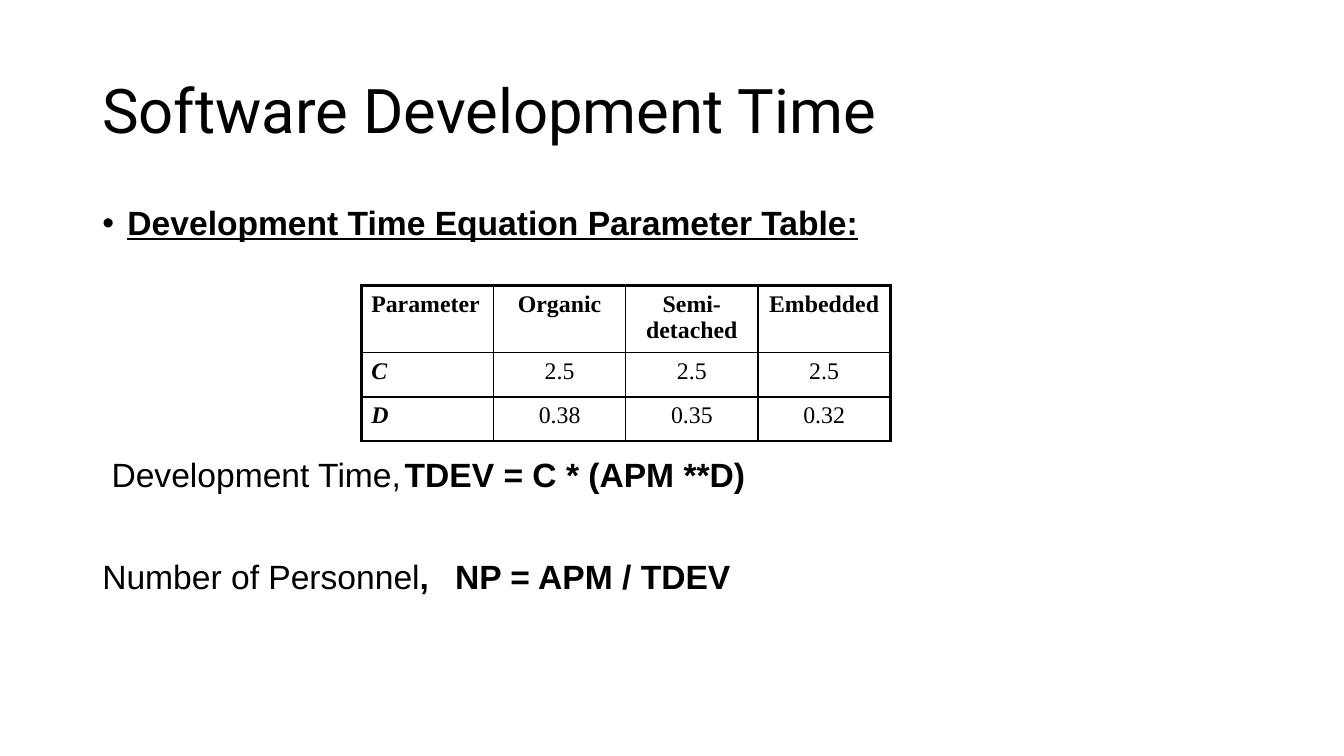
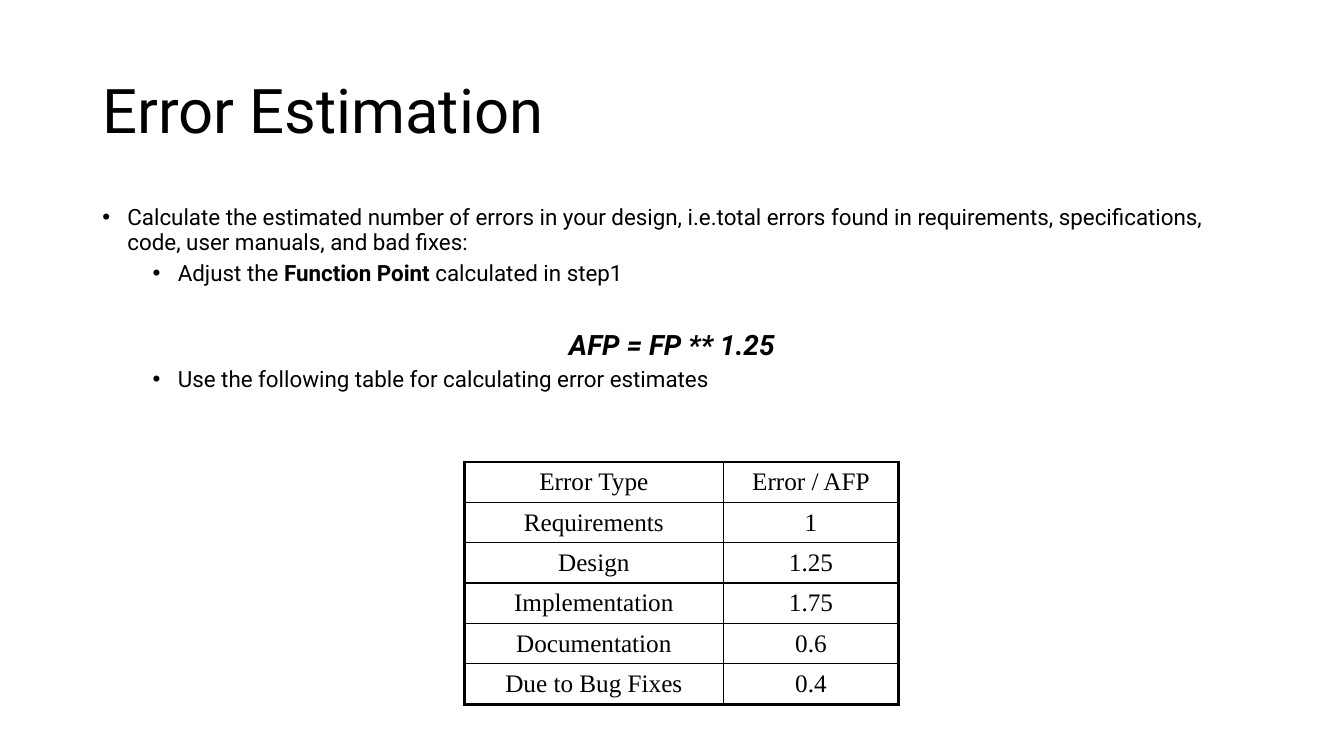
import pptx
import pptx.dml.color
import pptx.enum.text
import pptx.oxml.ns
import pptx.util
from lxml import etree

COLUMNS, ROWS = 160, 90
CELL = pptx.util.Inches(7.5) // ROWS
BLACK = pptx.dml.color.RGBColor(0, 0, 0)
WHITE = pptx.dml.color.RGBColor(255, 255, 255)
HEAD_FONT = "Roboto"
BODY_FONT = "Arial"
TABLE_FONT = "Times New Roman"
LEFT, WIDTH = 11, 138
INDENT = 3
THIN, THICK = 1, 2.25
CENTER = pptx.enum.text.PP_ALIGN.CENTER
TOP = pptx.enum.text.MSO_ANCHOR.TOP
MIDDLE = pptx.enum.text.MSO_ANCHOR.MIDDLE


def grid(n):
    return round(n * CELL)


def add_xml(parent, tag, **attrs):
    el = etree.SubElement(parent, pptx.oxml.ns.qn(tag))
    for name, value in attrs.items():
        el.set(name, str(value))
    return el


def set_font(p, name, size, bold=None, italic=None):
    f = p.font
    f.name, f.size, f.bold, f.italic = name, pptx.util.Pt(size), bold, italic
    f.color.rgb = BLACK


def add_box(slide, top, height, anchor=TOP):
    tf = slide.shapes.add_textbox(grid(LEFT), grid(top), grid(WIDTH), grid(height)).text_frame
    tf.word_wrap = True
    tf.vertical_anchor = anchor
    return tf


def add_paragraph(tf, runs, font, size, before=0, margin=0, first=0, bullet=False,
                  tab=None, align=None, bold=None, italic=None):
    p = tf.paragraphs[0]
    if p.runs:
        p = tf.add_paragraph()
    pPr = p._p.get_or_add_pPr()
    pPr.set("marL", str(grid(margin)))
    pPr.set("indent", str(grid(first)))
    if bullet:
        add_xml(pPr, "a:buFont", typeface="Arial")
        add_xml(pPr, "a:buChar", char="•")
    if tab:
        add_xml(add_xml(pPr, "a:tabLst"), "a:tab", pos=grid(tab), algn="l")
    p.line_spacing = 0.9
    p.space_before = pptx.util.Pt(before)
    p.alignment = align
    set_font(p, font, size, bold, italic)
    for text, strong in runs:
        r = p.add_run()
        r.text = text
        if strong:
            r.font.bold = True
    return p


def add_bullet(tf, runs, font, size, level=0, before=0):
    return add_paragraph(tf, runs, font, size, before, INDENT + 6 * level, -INDENT, bullet=True)


def add_slide(prs, title):
    slide = prs.slides.add_slide(prs.slide_layouts[6])
    tf = add_box(slide, 4.8, 17.4, MIDDLE)
    add_paragraph(tf, [(title, False)], HEAD_FONT, 44)
    return slide, add_box(slide, 24, 57)


def set_borders(cell, row, col, last_row, last_col):
    tcPr = cell._tc.get_or_add_tcPr()
    outer = {"L": col == 0, "R": col == last_col, "T": row == 0, "B": row == last_row}
    for side, is_outer in outer.items():
        width = pptx.util.Pt(THICK if is_outer else THIN)
        ln = add_xml(tcPr, f"a:ln{side}", w=int(width))
        add_xml(add_xml(ln, "a:solidFill"), "a:srgbClr", val=BLACK)


def add_table(slide, left, top, widths, heights, rows, size, anchor=TOP, headed=False):
    frame = slide.shapes.add_table(len(heights), len(widths), grid(left), grid(top),
                                   grid(sum(widths)), grid(sum(heights)))
    table = frame.table
    table.first_row = table.horz_banding = False
    for column, width in zip(table.columns, widths):
        column.width = grid(width)
    for i, (row, height) in enumerate(zip(rows, heights)):
        table.rows[i].height = grid(height)
        for j, text in enumerate(row):
            cell = table.cell(i, j)
            set_borders(cell, i, j, len(rows) - 1, len(row) - 1)
            cell.fill.solid()
            cell.fill.fore_color.rgb = WHITE
            cell.vertical_anchor = anchor
            label = headed and j == 0
            p = cell.text_frame.paragraphs[0]
            p.alignment = None if label else CENTER
            set_font(p, TABLE_FONT, size, label or headed and i == 0, label and i > 0)
            p.add_run().text = text


def build_time_slide(prs):
    slide, tf = add_slide(prs, "Software Development Time")
    p = add_bullet(tf, [("Development Time Equation Parameter Table:", True)], BODY_FONT, 24)
    p.runs[0].font.underline = True
    add_paragraph(tf, [("Development Time,", False), ("\tTDEV = C * (APM **D)", True)],
                  BODY_FONT, 24, before=154, first=1.1, tab=39)
    add_paragraph(tf, [("Number of Personnel", False), (",\tNP = APM / TDEV", True)],
                  BODY_FONT, 24, before=47, tab=51)
    rows = [("Parameter", "Organic", "Semi-detached", "Embedded"),
            ("C", "2.5", "2.5", "2.5"),
            ("D", "0.38", "0.35", "0.32")]
    add_table(slide, 43, 34, [15.75] * 4, [8, 5.25, 5.25], rows, 17, headed=True)


def build_error_slide(prs):
    slide, tf = add_slide(prs, "Error Estimation")
    add_bullet(tf, [("Calculate the estimated number of errors in your design, i.e.total errors "
                     "found in requirements, specifications, code, user manuals, and bad fixes:",
                     False)], HEAD_FONT, 16)
    add_bullet(tf, [("Adjust the ", False), ("Function Point", True),
                    (" calculated in step1", False)], HEAD_FONT, 16, level=1, before=5)
    add_paragraph(tf, [("AFP = FP ** 1.25", False)], HEAD_FONT, 20, before=32,
                  align=CENTER, bold=True, italic=True)
    add_bullet(tf, [("Use the following table for calculating error estimates", False)],
               HEAD_FONT, 16, level=1, before=5)
    rows = [("Error Type", "Error / AFP"),
            ("Requirements", "1"),
            ("Design", "1.25"),
            ("Implementation", "1.75"),
            ("Documentation", "0.6"),
            ("Due to Bug Fixes", "0.4")]
    add_table(slide, 55.3, 55, [30.8, 20.9], [4.8] * len(rows), rows, 18, MIDDLE)


def main():
    prs = pptx.Presentation()
    prs.slide_width, prs.slide_height = grid(COLUMNS), grid(ROWS)
    build_time_slide(prs)
    build_error_slide(prs)
    prs.save("out.pptx")


if __name__ == "__main__":
    main()
